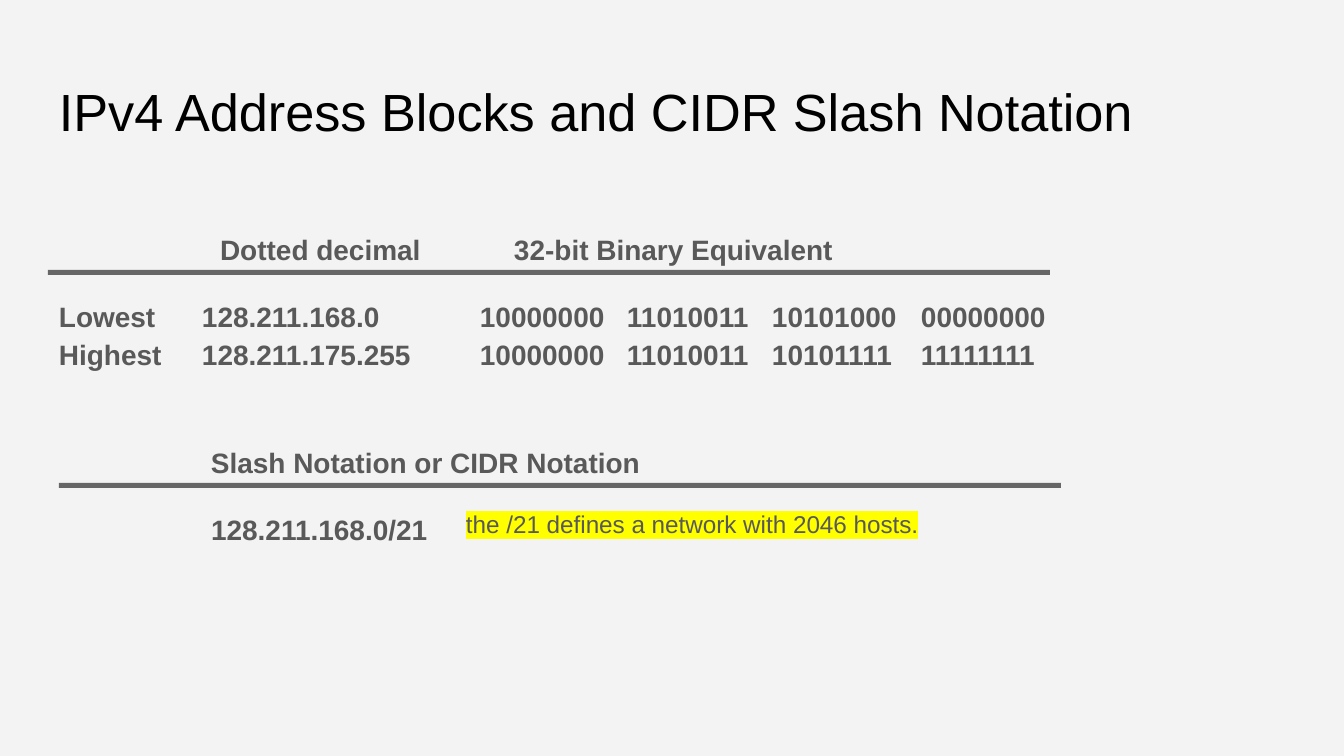
from lxml.etree import SubElement
from pptx import Presentation
from pptx.dml.color import RGBColor
from pptx.enum.shapes import MSO_SHAPE
from pptx.enum.text import MSO_ANCHOR, PP_ALIGN
from pptx.oxml.ns import qn
from pptx.util import Pt

SCALE = 914400 / 134.4
INSET = 13
FONT = "Arial"
GREY = "595959"

TITLE = "IPv4 Address Blocks and CIDR Slash Notation"
ADDRESSES = [
    ("Lowest", "128.211.168.0", "10000000", "11010011", "10101000", "00000000"),
    ("Highest", "128.211.175.255", "10000000", "11010011", "10101111", "11111111"),
]
HEADINGS = ("Dotted decimal", "32-bit Binary Equivalent")
NOTE = "the /21 defines a network with 2046 hosts."

BOLD_TEXTS = [
    ([HEADINGS], (207, 214, 1074, 99), [294]),
    (ADDRESSES, (46, 281, 1235, 99), [143, 421, 568, 713, 862]),
    ([("Slash Notation or CIDR Notation",)], (198, 427, 1095, 99), []),
    ([("128.211.168.0/21",)], (198, 494, 1083, 99), []),
]
RULES = [(48, 270), (59, 483)]
RULE_SIZE = (1002, 5)


def px(value):
    return round(value * SCALE)


def color(value):
    return RGBColor.from_string(value)


def format_text(box, text, size, shade, bold=False):
    frame = box.text_frame
    frame.word_wrap = True
    frame.vertical_anchor = MSO_ANCHOR.TOP
    frame.margin_left = frame.margin_right = px(INSET)
    frame.margin_top = frame.margin_bottom = px(INSET)
    paragraph = frame.paragraphs[0]
    paragraph.text = text
    paragraph.alignment = PP_ALIGN.LEFT
    font = paragraph.font
    font.name, font.size, font.bold = FONT, Pt(size), bold
    font.color.rgb = color(shade)
    return paragraph


def add_text(page, area, *style):
    box = page.shapes.add_textbox(*map(px, area))
    return format_text(box, *style)


def set_tabs(paragraph, stops):
    properties = paragraph._p.get_or_add_pPr()
    tabs = SubElement(properties, qn("a:tabLst"))
    for stop in stops:
        SubElement(tabs, qn("a:tab"), pos=str(px(stop)), algn="l")
    properties.find(qn("a:defRPr")).addprevious(tabs)


def highlight(span, shade):
    span.font.color.rgb = color(GREY)
    properties = span.font._element
    mark = SubElement(properties, qn("a:highlight"))
    SubElement(mark, qn("a:srgbClr"), val=shade)
    properties.find(qn("a:solidFill")).addnext(mark)


def add_rule(page, left, top):
    rule = page.shapes.add_shape(
        MSO_SHAPE.RECTANGLE, *map(px, (left, top, *RULE_SIZE)))
    rule.shadow.inherit = False
    rule.fill.solid()
    rule.fill.fore_color.rgb = color("666666")
    rule.line.fill.background()


def main():
    deck = Presentation()
    deck.slide_width, deck.slide_height = px(1344), px(756)
    page = deck.slides.add_slide(deck.slide_layouts[5])
    page.background.fill.solid()
    page.background.fill.fore_color.rgb = color("F3F3F3")

    title = page.shapes.title
    title.left, title.top, title.width, title.height = map(px, (46, 66, 1253, 85))
    format_text(title, TITLE, 28, "000000")

    for rows, area, stops in BOLD_TEXTS:
        text = "\v".join("\t".join(row) for row in rows)
        paragraph = add_text(page, area, text, 15, GREY, True)
        paragraph.line_spacing = 1.15
        paragraph.space_after = Pt(16)
        if stops:
            set_tabs(paragraph, stops)

    for left, top in RULES:
        add_rule(page, left, top)

    note = add_text(page, (453, 496, 788, 85), NOTE, 13, GREY)
    highlight(note.runs[0], "FFFF00")
    deck.save("out.pptx")


if __name__ == "__main__":
    main()
